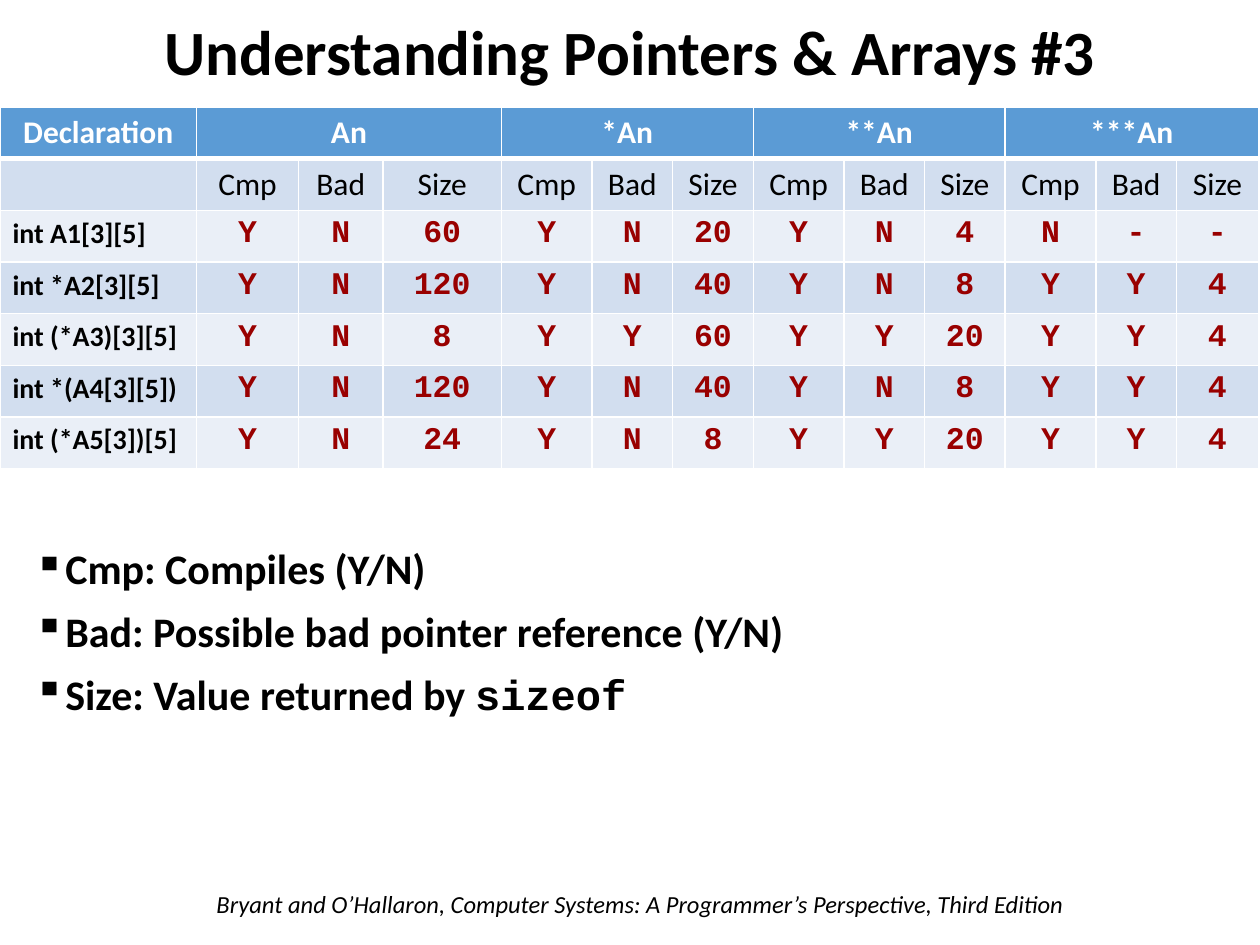
from dataclasses import dataclass

from lxml import etree
from pptx import Presentation
from pptx.dml.color import RGBColor
from pptx.enum import text
from pptx.oxml import ns
from pptx.util import Inches, Pt


@dataclass(frozen=True)
class Theme:
    sans: str = "Calibri"
    mono: str = "Courier New"
    ink: str = "000000"
    white: str = "FFFFFF"
    answer: str = "990000"
    header: str = "5B9BD5"
    bands: tuple = ("D2DEEF", "EAEFF7")
    title_size: int = 36
    body_size: int = 24
    table_size: int = 18
    declaration_size: int = 16
    footer_size: int = 14


THEME = Theme()
CENTER = text.PP_ALIGN.CENTER

COLUMN_WIDTHS = [1.56, 0.81, 0.67, 0.94] + [0.72, 0.64, 0.64] * 2 + [0.72, 0.64, 0.65]
ROW_HEIGHT = 0.41
EXPRESSIONS = ["An", "*An", "**An", "***An"]
MEASURES = ["Cmp", "Bad", "Size"]
ANSWERS = {
    "int A1[3][5]": "Y N 60 Y N 20 Y N 4 N - -",
    "int *A2[3][5]": "Y N 120 Y N 40 Y N 8 Y Y 4",
    "int (*A3)[3][5]": "Y N 8 Y Y 60 Y Y 20 Y Y 4",
    "int *(A4[3][5])": "Y N 120 Y N 40 Y N 8 Y Y 4",
    "int (*A5[3])[5]": "Y N 24 Y N 8 Y Y 20 Y Y 4",
}
LEGEND = [
    [("Cmp: Compiles (Y/N)", THEME.sans)],
    [("Bad: Possible bad pointer reference (Y/N)", THEME.sans)],
    [("Size: Value returned by ", THEME.sans), ("sizeof", THEME.mono)],
]


def style_run(run, size, color=THEME.ink, name=THEME.sans, bold=False, italic=False):
    font = run.font
    font.size, font.name, font.bold, font.italic = Pt(size), name, bold, italic
    font.color.rgb = RGBColor.from_string(color)


def add_text_frame(slide, box):
    frame = slide.shapes.add_textbox(*map(Inches, box)).text_frame
    frame.word_wrap = True
    return frame


def add_title(slide, box):
    frame = add_text_frame(slide, box)
    frame.vertical_anchor = text.MSO_ANCHOR.MIDDLE
    frame.text = "Understanding Pointers & Arrays #3"
    paragraph = frame.paragraphs[0]
    paragraph.alignment, paragraph.line_spacing = CENTER, 0.9
    style_run(paragraph.runs[0], THEME.title_size, bold=True)


def add_footer(slide, box):
    frame = add_text_frame(slide, box)
    frame.text = ("Bryant and O’Hallaron, Computer Systems: "
                  "A Programmer’s Perspective, Third Edition")
    style_run(frame.paragraphs[0].runs[0], THEME.footer_size, italic=True)


def add_bullet(paragraph, character, indent):
    properties = paragraph._p.get_or_add_pPr()
    properties.set("marL", str(indent))
    properties.set("indent", str(-indent))
    etree.SubElement(properties, ns.qn("a:buChar"), char=character)


def add_legend(slide, box):
    frame = add_text_frame(slide, box)
    for index, parts in enumerate(LEGEND):
        paragraph = frame.add_paragraph() if index else frame.paragraphs[0]
        paragraph.line_spacing, paragraph.space_before = 0.9, Pt(10)
        add_bullet(paragraph, "▪", Inches(0.25))
        for words, name in parts:
            run = paragraph.add_run()
            run.text = words
            style_run(run, THEME.body_size, name=name, bold=True)


def set_borders(cell, bottom=1, top=1):
    """Draw white lines round the cell, with widths in points."""
    properties = cell._tc.get_or_add_tcPr()
    widths = {"a:lnL": 1, "a:lnR": 1, "a:lnT": top, "a:lnB": bottom}
    for position, (tag, width) in enumerate(widths.items()):
        line = etree.Element(ns.qn(tag), w=str(Pt(width)))
        fill = etree.SubElement(line, ns.qn("a:solidFill"))
        etree.SubElement(fill, ns.qn("a:srgbClr"), val=THEME.white)
        properties.insert(position, line)


def fill_cell(cell, words, row, column):
    is_header, is_answer = row == 0, row > 1 and column > 0
    is_declaration = row > 1 and column == 0
    cell.fill.solid()
    cell.fill.fore_color.rgb = RGBColor.from_string(
        THEME.header if is_header else THEME.bands[(row - 1) % 2])
    set_borders(cell, bottom=3 if is_header else 1, top=3 if row == 1 else 1)
    cell.text = words
    paragraph = cell.text_frame.paragraphs[0]
    if not is_declaration:
        paragraph.alignment = CENTER
    for run in paragraph.runs:
        style_run(
            run,
            THEME.declaration_size if is_declaration else THEME.table_size,
            THEME.white if is_header else THEME.answer if is_answer else THEME.ink,
            THEME.mono if is_answer else THEME.sans,
            bold=row != 1,
        )


def add_answer_table(slide, box):
    span = len(MEASURES)
    header = ["Declaration"]
    for expression in EXPRESSIONS:
        header += [expression] + [""] * (span - 1)
    rows = [header, [""] + MEASURES * len(EXPRESSIONS)]
    rows += [[declaration] + values.split() for declaration, values in ANSWERS.items()]

    table = slide.shapes.add_table(len(rows), len(header), *map(Inches, box)).table
    for column, width in zip(table.columns, COLUMN_WIDTHS):
        column.width = Inches(width)
    for row in table.rows:
        row.height = Inches(ROW_HEIGHT)
    for row, values in enumerate(rows):
        for column, words in enumerate(values):
            fill_cell(table.cell(row, column), words, row, column)
    for start in range(1, len(header), span):
        table.cell(0, start).merge(table.cell(0, start + span - 1))


def main():
    presentation = Presentation()
    presentation.slide_width, presentation.slide_height = Inches(10), Inches(7.5)
    slide = presentation.slides.add_slide(presentation.slide_layouts[6])
    add_footer(slide, (1.62, 7.01, 7.1, 0.34))
    add_title(slide, (0, 0, 10, 0.87))
    add_legend(slide, (0.17, 4.3, 7.97, 1.68))
    add_answer_table(slide, (0, 0.85, 10, 2.87))
    presentation.save("out.pptx")


if __name__ == "__main__":
    main()
